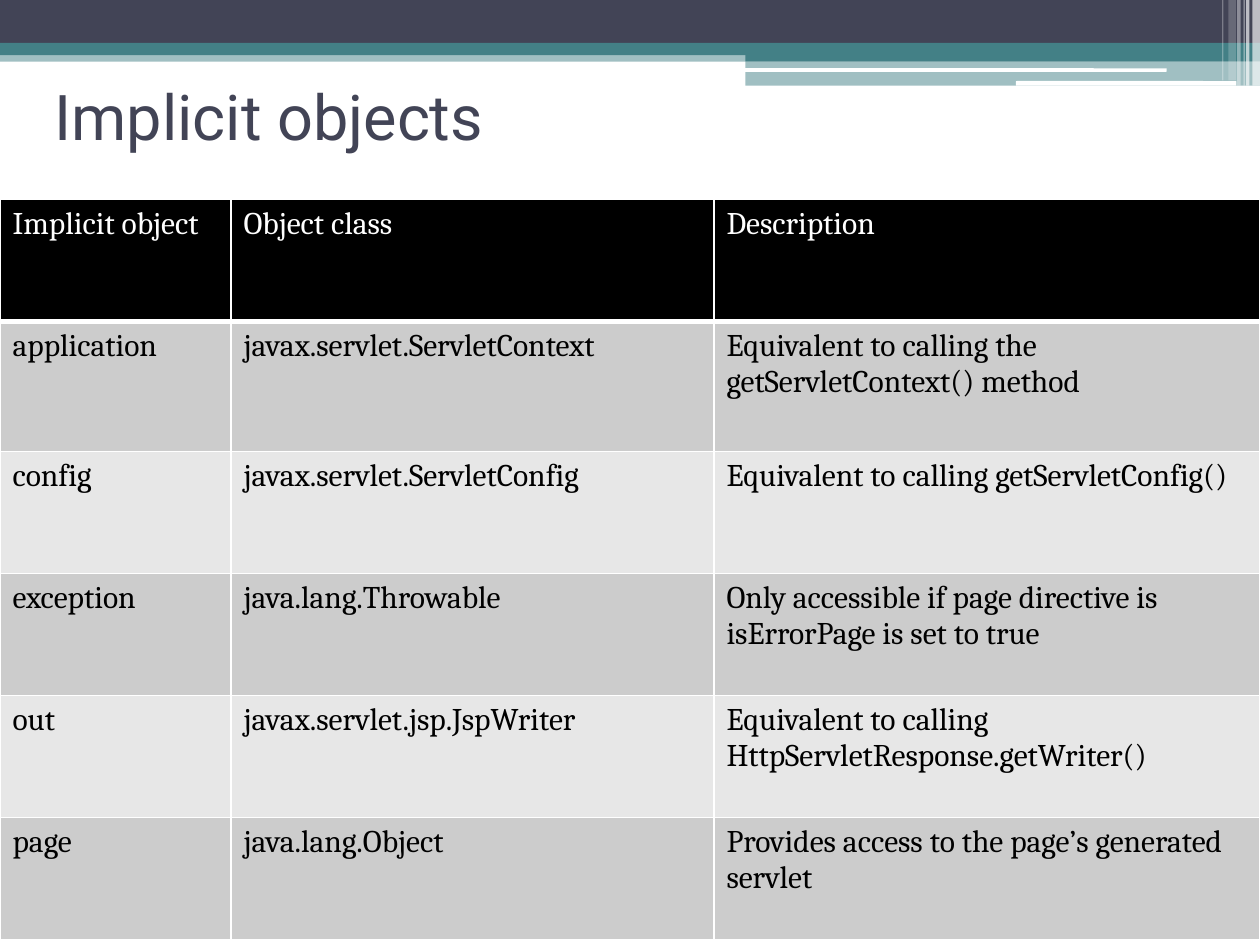
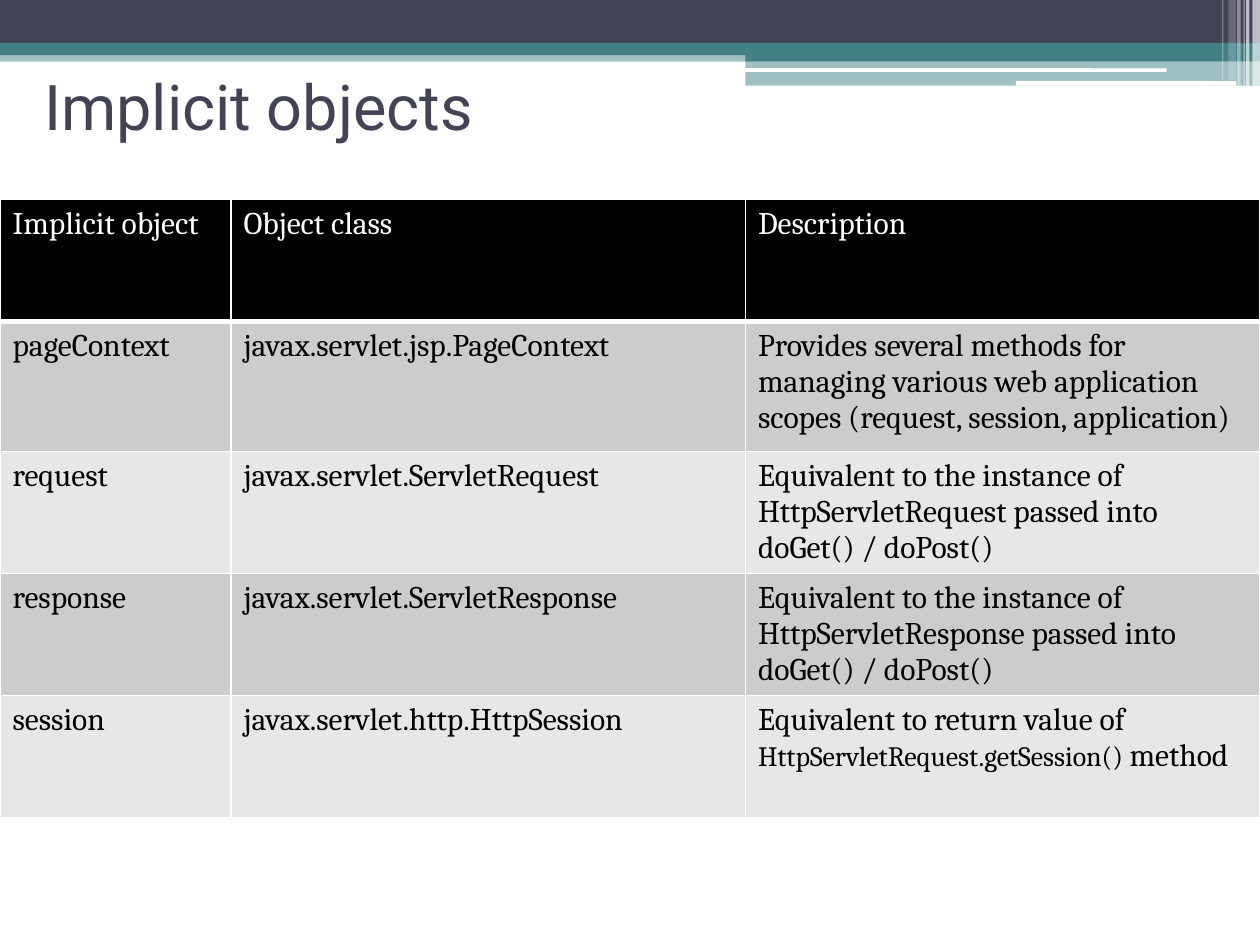
"""Builds two slides that list the JSP implicit objects in tables."""
import pptx
import pptx.dml.color
import pptx.enum.shapes
import pptx.enum.text
import pptx.oxml
import pptx.oxml.ns
import pptx.util

Pt = pptx.util.Pt
SHAPE = pptx.enum.shapes.MSO_SHAPE
HUES = {"navy": "424456", "teal": "438086", "white": "FFFFFF", "black": "000000",
        "dark": "CCCCCC", "light": "E7E7E7"}
FONTS = {
    "title": {"name": "Roboto", "size": Pt(36), "bold": False},
    "cell": {"name": "Cambria", "size": Pt(18), "bold": False},
}
BANDS = [
    (0, 28.8, 720, 6.5, "teal", 50),
    (0, 0, 720, 24.5, "navy", 100),
    (0, 24.5, 720, 7, "teal", 100),
    (426, 28, 294, 7, "teal", 100),
    (426, 35, 294, 14, "teal", 50),
]
PILLS = [(425.5, 39, 241.2, 2), (580.5, 46.3, 126, 2.7)]
STRIPES = [
    (715.7, 4.3, 49, 65),
    (712, 2, 49, 65),
    (710.6, 0.7, 49, 60),
    (707, 2, 49, 40),
    (702, 4.3, 46, 20),
    (698.4, 0.7, 46, 30),
]
HEAD = ["Implicit object", "Object class", "Description"]
FIRST = [
    ["application", "javax.servlet.ServletContext",
     "Equivalent to calling the getServletContext() method"],
    ["config", "javax.servlet.ServletConfig", "Equivalent to calling getServletConfig()"],
    ["exception", "java.lang.Throwable",
     "Only accessible if page directive is isErrorPage is set to true"],
    ["out", "javax.servlet.jsp.JspWriter",
     "Equivalent to calling HttpServletResponse.getWriter()"],
    ["page", "java.lang.Object", "Provides access to the page’s generated servlet"],
]
SECOND = [
    ["pageContext", "javax.servlet.jsp.PageContext",
     "Provides several methods for managing various web application scopes "
     "(request, session, application)"],
    ["request", "javax.servlet.ServletRequest",
     "Equivalent to the instance of HttpServletRequest passed into doGet() / doPost()"],
    ["response", "javax.servlet.ServletResponse",
     "Equivalent to the instance of HttpServletResponse passed into doGet() / doPost()"],
    ["session", "javax.servlet.http.HttpSession",
     [("Equivalent to return value of ", 18), ("HttpServletRequest.getSession() ", 16),
      ("method", 18)]],
]


class Deck:
    def __init__(self):
        self.prs = pptx.Presentation()
        self.prs.slide_width, self.prs.slide_height = Pt(720), Pt(540)
        self.slide = None

    def hue(self, name):
        return pptx.dml.color.RGBColor.from_string(HUES[name])

    def paint(self, fill, name):
        fill.solid()
        fill.fore_color.rgb = self.hue(name)

    def style(self, font, kind, name):
        for key, value in FONTS[kind].items():
            setattr(font, key, value)
        font.color.rgb = self.hue(name)

    def block(self, left, top, width, height, name, alpha=100, kind=SHAPE.RECTANGLE):
        box = self.slide.shapes.add_shape(kind, Pt(left), Pt(top), Pt(width), Pt(height))
        box.shadow.inherit = False
        box.line.fill.background()
        self.paint(box.fill, name)
        if alpha < 100:
            tint = box.element.xpath("./p:spPr/a:solidFill/a:srgbClr")[0]
            pptx.oxml.parse_xml(
                f'<a:alpha {pptx.oxml.ns.nsdecls("a")} val="{alpha * 1000}"/>')
            mark = tint.makeelement(pptx.oxml.ns.qn("a:alpha"), {"val": str(alpha * 1000)})
            tint.append(mark)
        return box

    def bands(self):
        for band in BANDS:
            self.block(*band)
        for pill in PILLS:
            self.block(*pill, "white", kind=SHAPE.ROUNDED_RECTANGLE)
        for left, width, height, alpha in STRIPES:
            self.block(left, 0, width, height, "white", alpha)

    def title(self, text, inset):
        box = self.slide.shapes.title
        place = {"left": inset, "top": inset, "width": 648, "height": 84}
        for key, value in place.items():
            setattr(box, key, Pt(value))
        frame = box.text_frame
        frame.auto_size = pptx.enum.text.MSO_AUTO_SIZE.NONE
        frame.vertical_anchor = pptx.enum.text.MSO_ANCHOR.MIDDLE
        line = frame.paragraphs[0]
        line.alignment = pptx.enum.text.PP_ALIGN.LEFT
        run = line.add_run()
        run.text = text
        self.style(run.font, "title", "navy")

    def edges(self, cell, base):
        props = cell._tc.get_or_add_tcPr()
        for side, width in {"L": 1, "R": 1, "T": 1, "B": base}.items():
            props.append(pptx.oxml.parse_xml(
                f'<a:ln{side} {pptx.oxml.ns.nsdecls("a")} w="{Pt(width)}"><a:solidFill>'
                f'<a:srgbClr val="{HUES["white"]}"/></a:solidFill></a:ln{side}>'))

    def cell(self, cell, text, back, ink, base):
        self.edges(cell, base)
        self.paint(cell.fill, back)
        parts = [(text, 18)] if isinstance(text, str) else text
        for words, size in parts:
            run = cell.text_frame.paragraphs[0].add_run()
            run.text = words
            self.style(run.font, "cell", ink)
            run.font.size = Pt(size)

    def table(self, rows, widths):
        heights = [69.75, 74.25] + [69.75] * (len(rows) - 1)
        grid = self.slide.shapes.add_table(
            len(heights), len(widths), 0, Pt(114), Pt(720), Pt(sum(heights))).table
        grid.horz_banding = False
        for col, width in zip(grid.columns, widths):
            col.width = Pt(width)
        for i, (row, height, texts) in enumerate(zip(grid.rows, heights, [HEAD] + rows)):
            row.height = Pt(height)
            back = "black" if i == 0 else ("light", "dark")[i % 2]
            ink, base = ("white", 3) if i == 0 else ("black", 1)
            for cell, text in zip(row.cells, texts):
                self.cell(cell, text, back, ink, base)

    def page(self, inset, rows, widths):
        self.slide = self.prs.slides.add_slide(self.prs.slide_layouts[5])
        self.bands()
        self.title("Implicit objects", inset)
        self.table(rows, widths)


def main():
    deck = Deck()
    deck.page(24, FIRST, [132, 276, 312])
    deck.page(18, SECOND, [132, 294, 294])
    deck.prs.save("out.pptx")


if __name__ == "__main__":
    main()
